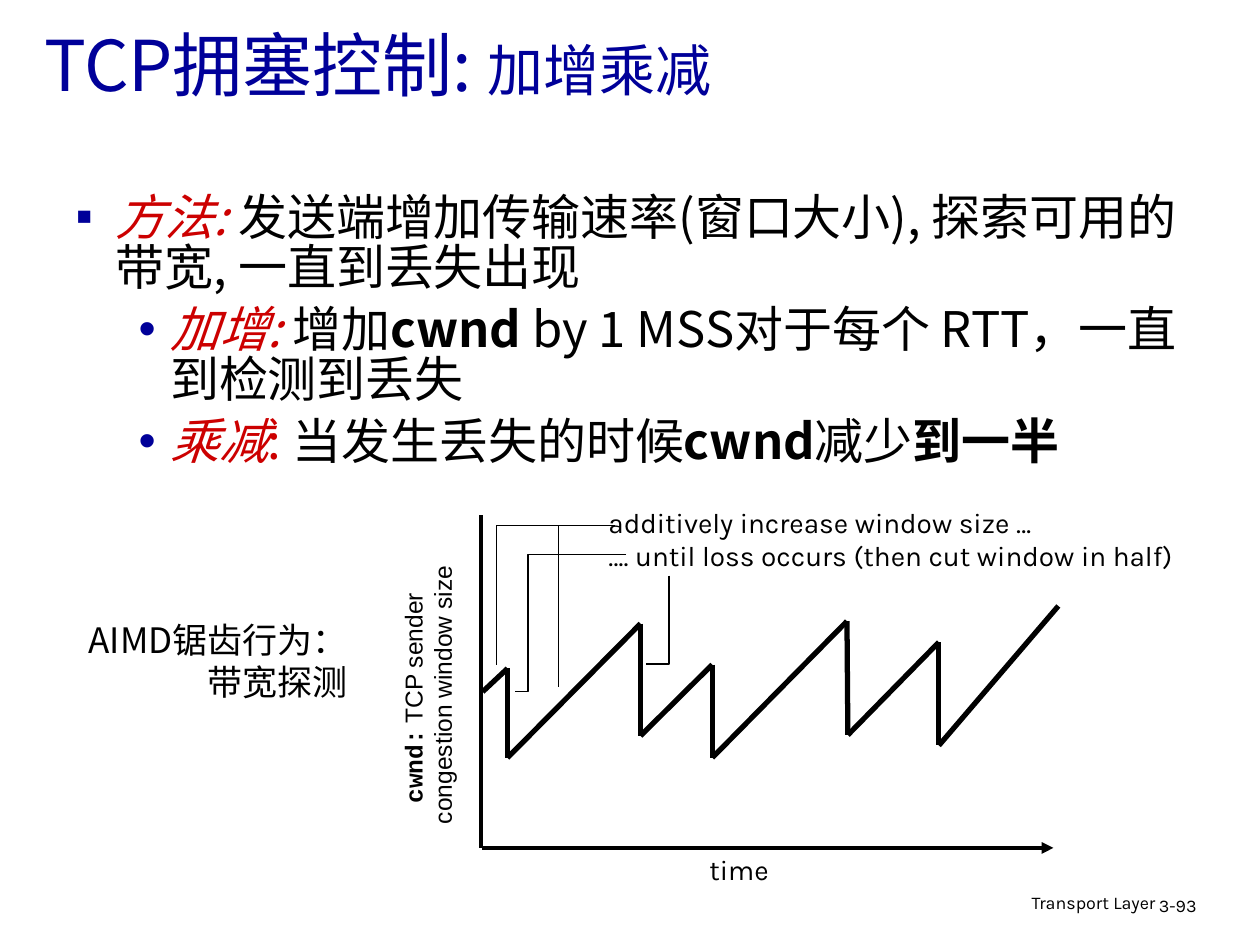
"""Build a slide on TCP congestion control with its AIMD sawtooth."""
from itertools import pairwise

from lxml import etree
from pptx import Presentation
from pptx import util as u
from pptx.dml.color import RGBColor
from pptx.enum import shapes, text
from pptx.oxml import ns

Pt = u.Pt
hue = RGBColor.from_string
NOTO, BLUE, RED, BLACK = "Noto Sans CJK SC", "000099", "CC0000", "000000"
LEFT, MID, RIGHT = text.PP_ALIGN.LEFT, text.PP_ALIGN.CENTER, text.PP_ALIGN.RIGHT


def write(shape, box, rows, base, form, wrap=False, anchor=text.MSO_ANCHOR.TOP):
    """Place a shape and fill it with rows of (text, format) runs."""
    shape.left, shape.top, shape.width, shape.height = map(Pt, box)
    frame = shape.text_frame
    frame.word_wrap, frame.vertical_anchor = wrap, anchor
    frame.auto_size = text.MSO_AUTO_SIZE.NONE
    for n, row in enumerate(rows):
        para = frame.add_paragraph() if n else frame.paragraphs[0]
        for key, val in form.items():
            setattr(para, key, val)
        for words, extra in row:
            run = para.add_run()
            run.text = words
            look = {"color": BLACK, **base, **extra}
            run.font.color.rgb = hue(look.pop("color"))
            for key, val in look.items():
                setattr(run.font, key, val)
            if look["name"] == NOTO:
                etree.SubElement(run.font._element, ns.qn("a:ea"), typeface=NOTO)
    return frame


def draw(start, end, width):
    """Draw a plain black line between two points."""
    line = slide.shapes.add_connector(
        shapes.MSO_CONNECTOR.STRAIGHT, *map(Pt, (*start, *end)))
    line.line.color.rgb = hue(BLACK)
    line.line.width = Pt(width)
    etree.SubElement(line._element.spPr, ns.qn("a:effectLst"))
    return line


deck = Presentation()
deck.slide_width, deck.slide_height = Pt(720), Pt(540)
slide = deck.slides.add_slide(deck.slide_layouts[1])
title, body = slide.placeholders

write(title, (18, 9.4, 666, 62.6),
      [[("TCP拥塞控制: ", {}), ("加增乘减", {"size": Pt(32)})]],
      {"name": NOTO, "size": Pt(40), "color": BLUE},
      {"alignment": LEFT, "line_spacing": 0.8}, True, text.MSO_ANCHOR.MIDDLE)

key, bold = {"color": RED, "italic": True}, {"bold": True}
points = [
    [("方法: ", key), ("发送端增加传输速率(窗口大小), 探索可用的带宽, 一直到丢失出现", {})],
    [("加增: ", key), ("增加", {}), ("cwnd", bold),
     (" by 1 MSS对于每个 RTT，一直到检测到丢失", {})],
    [("乘减", key), (": ", {"color": RED}), ("当发生丢失的时候", {}),
     ("cwnd", bold), ("减少", {}), ("到一半", bold)],
]
frame = write(body, (36, 108, 659.5, 113.8), points,
              {"name": NOTO, "size": Pt(28)}, {"line_spacing": 0.85}, True)
for n, para in enumerate(frame.paragraphs):
    para.level = min(n, 1)
    para.space_before = Pt(7 if n else 0)
    margin, hang, mark = (54, 18, "•") if n else (23, 23, "▪")
    props = para._p.get_or_add_pPr()
    props.set("marL", str(Pt(margin)))
    props.set("indent", str(-Pt(hang)))
    tint = etree.SubElement(props, ns.qn("a:buClr"))
    etree.SubElement(tint, ns.qn("a:srgbClr"), val=BLUE)
    etree.SubElement(props, ns.qn("a:buChar"), char=mark)

label = slide.shapes.add_shape(shapes.MSO_SHAPE.RECTANGLE, 0, 0, 0, 0)
label.shadow.inherit = False
label.fill.solid()
label.fill.fore_color.rgb = hue("FFFFFF")
label.line.fill.background()
label.rotation = 270
write(label, (163.4, 376.6, 162, 41),
      [[("cwnd:", {"name": "Courier New", "bold": True}), (" TCP sender ", {})],
       [("congestion window size", {})]],
      {"name": "Arial", "size": Pt(14)}, {"alignment": MID})

notes = [
    ((34.6, 350, 171.4, 55.4), ["AIMD锯齿行为：", "带宽探测"], NOTO, 20, RIGHT, 1),
    ((340.6, 285.1, 344.2, 46), ["additively increase window size …",
     "…. until loss occurs (then cut window in half)"], "Karla", 16, LEFT, 1),
    ((398.2, 483.8, 48.2, 26.6), ["time"], "Karla", 16, MID, 1),
    ((439.2, 507.6, 228.2, 22.3), ["Transport Layer"], "Karla", 10.2, RIGHT, 0.9),
    ((655.2, 509, 53.3, 21.6), ["3-93"], "Karla", 10.2, LEFT, 0.9),
]
for box, lines, name, size, align, gap in notes:
    write(slide.shapes.add_textbox(0, 0, 0, 0), box,
          [[(words, {})] for words in lines],
          {"name": name, "size": Pt(size)},
          {"alignment": align, "line_spacing": gap})

time = draw((275.5, 484.5), (602, 484.5), 2.25)
etree.SubElement(time.line._get_or_add_ln(), ns.qn("a:tailEnd"), type="triangle")
draw((275, 294.5), (275, 484.5), 2.25)

teeth = [(275.8, 395.3), (290, 382), (290, 433), (366, 356.4), (366, 420.5),
         (407, 379.8), (407, 433), (484, 355), (484.5, 420), (536.5, 367),
         (536.5, 426), (604.8, 346.3)]
for start, end in pairwise(teeth):
    draw(start, end, 3)

hooks = [
    [(351.4, 300.2), (283.7, 300.2), (283.7, 380.2)],
    [(357.8, 316.8), (301.7, 316.8), (301.7, 395.3), (294.5, 395.3)],
    [(351.4, 300.2), (319, 300.2), (319, 392.4)],
    [(382.3, 329), (382.3, 379.4), (369.4, 379.4)],
]
for hook in hooks:
    first, *rest = [(Pt(x), Pt(y)) for x, y in hook]
    pen = slide.shapes.build_freeform(*first)
    pen.add_line_segments(rest, close=False)
    shape = pen.convert_to_shape()
    shape.shadow.inherit = False
    shape.fill.background()
    shape.line.color.rgb = hue(BLACK)
    shape.line.width = Pt(0.75)

deck.save("out.pptx")
